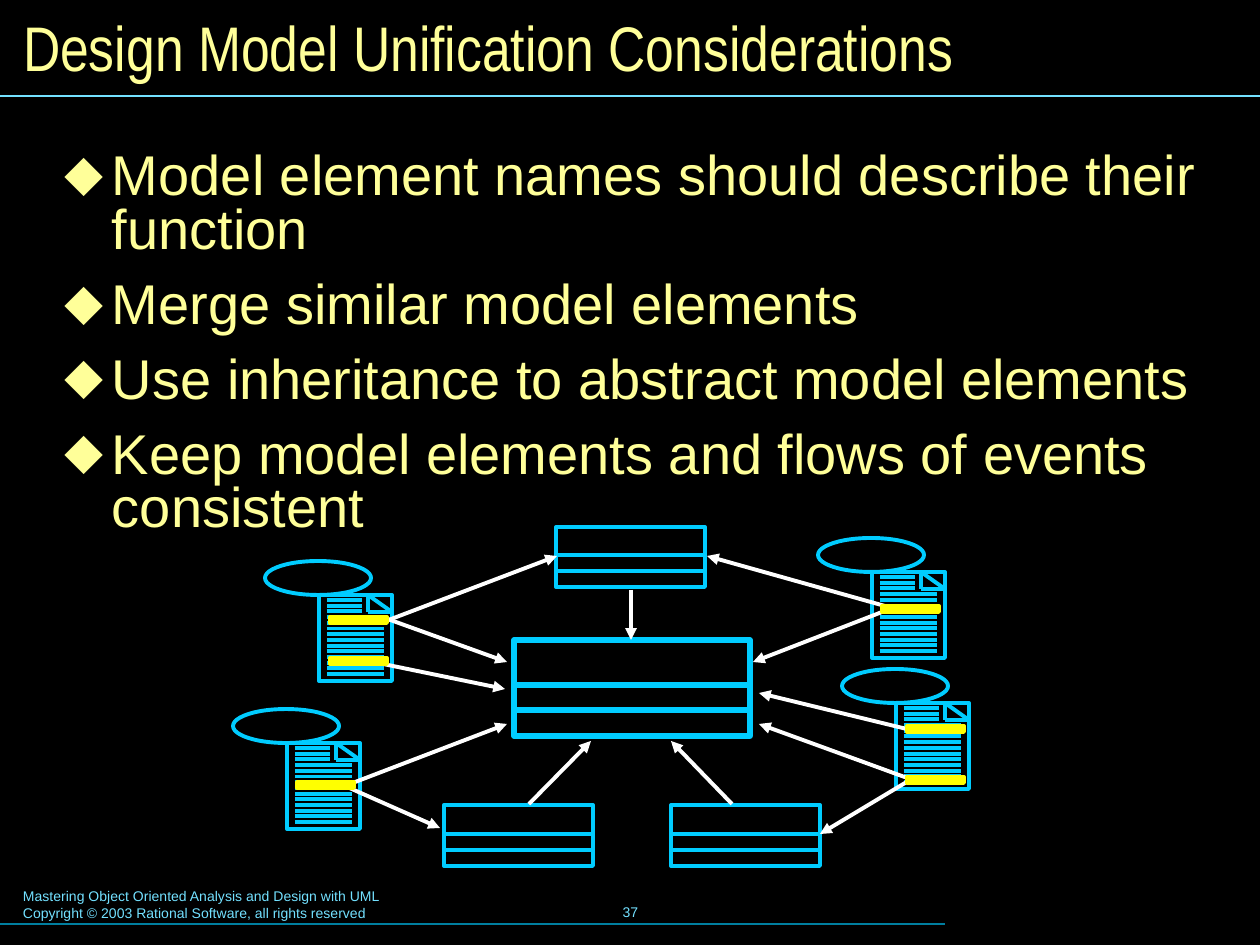
import pptx
import pptx.dml.color
import pptx.enum.shapes
import pptx.enum.text
import pptx.oxml
import pptx.oxml.ns
import pptx.util

EMU_PER_PX = 914400 / 126
COLORS = {
    "background": "000000", "text": "FFFF99", "footer": "73E1FF", "footer_rule": "007E9F",
    "model": "00CCFF", "arrow": "FFFFFF", "highlight": "FFFF00",
}
SHAPES = pptx.enum.shapes.MSO_SHAPE
ANCHORS = pptx.enum.text.MSO_ANCHOR
ALIGNMENTS = pptx.enum.text.PP_ALIGN

TITLE = "Design Model Unification Considerations"
BULLETS = [
    "Model element names should describe their function",
    "Merge similar model elements",
    "Use inheritance to abstract model elements",
    "Keep model elements and flows of events consistent",
]
FOOTER = [
    "Mastering Object Oriented Analysis and Design with UML",
    "Copyright © 2003 Rational Software, all rights reserved",
]
# Class boxes: left, top, width, height, line width in points
CLASSES = [
    (514, 640, 236, 96, 3), (444, 805, 149, 61, 2.25),
    (671, 805, 149, 61, 2.25), (556, 527, 149, 60, 2.25),
]
# Use cases: left and top of the page, then offsets of the highlighted lines
USE_CASES = [
    (287, 743, [(10, 39)]), (319, 595, [(11, 22), (11, 63)]),
    (896, 703, [(11, 23), (11, 74)]), (872, 572, [(10, 34)]),
]
# Arrows: start x, start y, end x, end y
ARROWS = [
    (350, 784, 507, 724), (345, 786, 440, 828),
    (386, 621, 557, 556), (382, 617, 507, 662), (354, 658, 505, 689),
    (915, 731, 759, 693), (910, 779, 759, 724), (915, 777, 820, 834),
    (882, 612, 753, 662), (885, 606, 707, 556),
    (631, 590, 631, 640), (529, 804, 591, 741), (732, 804, 671, 741),
]


def px(length):
    return pptx.util.Emu(round(length * EMU_PER_PX))


def color(name):
    return pptx.dml.color.RGBColor.from_string(COLORS[name])


def set_values(target, values):
    for name, value in values.items():
        setattr(target, name, value)


def place(shape, box):
    set_values(shape, dict(zip(("left", "top", "width", "height"), map(px, box))))


def write_text(shape, lines, size, font, color_name, margins, anchor, alignment=ALIGNMENTS.LEFT):
    frame = shape.text_frame
    across, down = map(px, margins)
    set_values(frame, {
        "word_wrap": True, "auto_size": pptx.enum.text.MSO_AUTO_SIZE.NONE,
        "margin_left": across, "margin_right": across,
        "margin_top": down, "margin_bottom": down, "vertical_anchor": anchor,
    })
    frame.text = "\n".join(lines)
    for paragraph in frame.paragraphs:
        paragraph.alignment = alignment
        for run in paragraph.runs:
            set_values(run.font, {"size": pptx.util.Pt(size), "name": font, "bold": False})
            run.font.color.rgb = color(color_name)
    return frame.paragraphs


def add_line(slide, start_x, start_y, end_x, end_y, color_name, weight, arrow=False):
    line = slide.shapes.add_connector(
        pptx.enum.shapes.MSO_CONNECTOR.STRAIGHT, px(start_x), px(start_y), px(end_x), px(end_y))
    line.line.color.rgb = color(color_name)
    line.line.width = pptx.util.Pt(weight)
    if arrow:
        outline = line.line._get_or_add_ln()
        outline.append(outline.makeelement(pptx.oxml.ns.qn("a:tailEnd"), {"type": "triangle"}))
    properties = line._element.spPr
    properties.append(properties.makeelement(pptx.oxml.ns.qn("a:effectLst"), {}))


def add_outline(slide, kind, box, color_name, weight, filled=False):
    shape = slide.shapes.add_shape(kind, *map(px, box))
    shape.shadow.inherit = False
    if filled:
        shape.fill.solid()
        shape.fill.fore_color.rgb = color(color_name)
    else:
        shape.fill.background()
    shape.line.color.rgb = color(color_name)
    shape.line.width = pptx.util.Pt(weight)


def add_title(slide, box):
    title = slide.shapes.title
    place(title, box)
    write_text(title, [TITLE], 36, "Arial Narrow", "text", (13, 6), ANCHORS.MIDDLE)
    add_line(slide, 0, 96, 1260, 96, "footer", 0.75)


def add_bullets(slide, box):
    body = slide.placeholders[1]
    place(body, box)
    paragraphs = write_text(body, BULLETS, 32, "Arial", "text", (15, 8), ANCHORS.TOP)
    for index, paragraph in enumerate(paragraphs):
        set_values(paragraph, {
            "line_spacing": 0.8, "space_before": pptx.util.Pt(12 if index else 0)})
        properties = paragraph._p.get_or_add_pPr()
        properties.set("marL", str(px(47)))
        properties.set("indent", str(-px(47)))
        namespace = pptx.oxml.ns.nsdecls("a")
        for xml in (f'<a:buClr {namespace}><a:srgbClr val="{COLORS["text"]}"/></a:buClr>',
                    f'<a:buChar {namespace} char="⬥"/>'):
            properties.append(pptx.oxml.parse_xml(xml))


def add_footer(slide):
    for lines, box, anchor, alignment in (
        (FOOTER, (10, 882, 643, 47), ANCHORS.TOP, ALIGNMENTS.LEFT),
        (["37"], (431, 880, 399, 63), ANCHORS.MIDDLE, ALIGNMENTS.CENTER),
    ):
        text_box = slide.shapes.add_textbox(*map(px, box))
        write_text(text_box, lines, 8, "Arial", "footer", (13, 6), anchor, alignment)
    add_line(slide, 0, 924, 945, 924, "footer_rule", 0.75)


def add_class(slide, left, top, width, height, weight):
    add_outline(slide, SHAPES.RECTANGLE, (left, top, width, height), "model", weight)
    for share in (0.47, 0.73):
        y = top + round(height * share)
        add_line(slide, left, y, left + width, y, "model", weight)


def add_use_case(slide, left, top):
    add_outline(slide, SHAPES.OVAL, (left - 54, top - 34, 106, 34), "model", 2.25)
    add_outline(slide, SHAPES.RECTANGLE, (left, top, 73, 86), "model", 2.25)
    # Folded corner
    corner = [(49, 0), (73, 17), (49, 17)]
    for (x1, y1), (x2, y2) in zip(corner, corner[1:] + corner[:1]):
        add_line(slide, left + x1, top + y1, left + x2, top + y2, "model", 2.25)
    # Lines of text, the first three stopping at the fold
    for row in range(14):
        y = top + 5 + row * 5.7
        add_line(slide, left + 8, y, left + (43 if row < 3 else 65), y, "model", 2.25)


def add_diagram(slide):
    for class_box in CLASSES:
        add_class(slide, *class_box)
    for left, top, _ in USE_CASES:
        add_use_case(slide, left, top)
    for arrow in ARROWS:
        add_line(slide, *arrow, "arrow", 2.25, arrow=True)
    for left, top, highlights in USE_CASES:
        for x, y in highlights:
            add_outline(slide, SHAPES.RECTANGLE, (left + x, top + y, 57, 6),
                        "highlight", 2.25, filled=True)


def main():
    presentation = pptx.Presentation()
    set_values(presentation, {"slide_width": px(1260), "slide_height": px(945)})
    slide = presentation.slides.add_slide(presentation.slide_layouts[1])
    slide.background.fill.solid()
    slide.background.fill.fore_color.rgb = color("background")
    add_title(slide, (10, 10, 1240, 73))
    add_bullets(slide, (50, 145, 1171, 422))
    add_footer(slide)
    add_diagram(slide)
    presentation.save("out.pptx")


if __name__ == "__main__":
    main()
